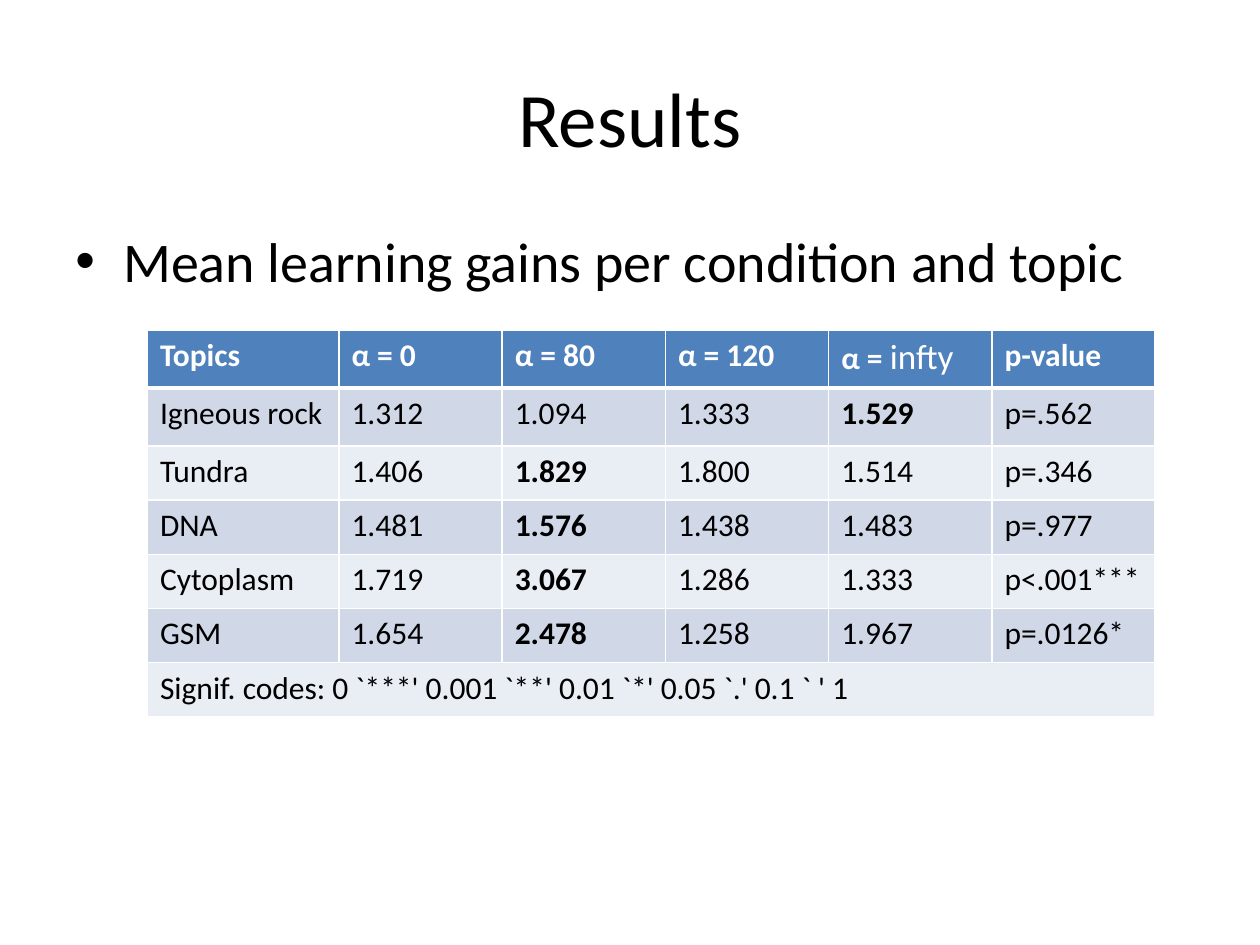
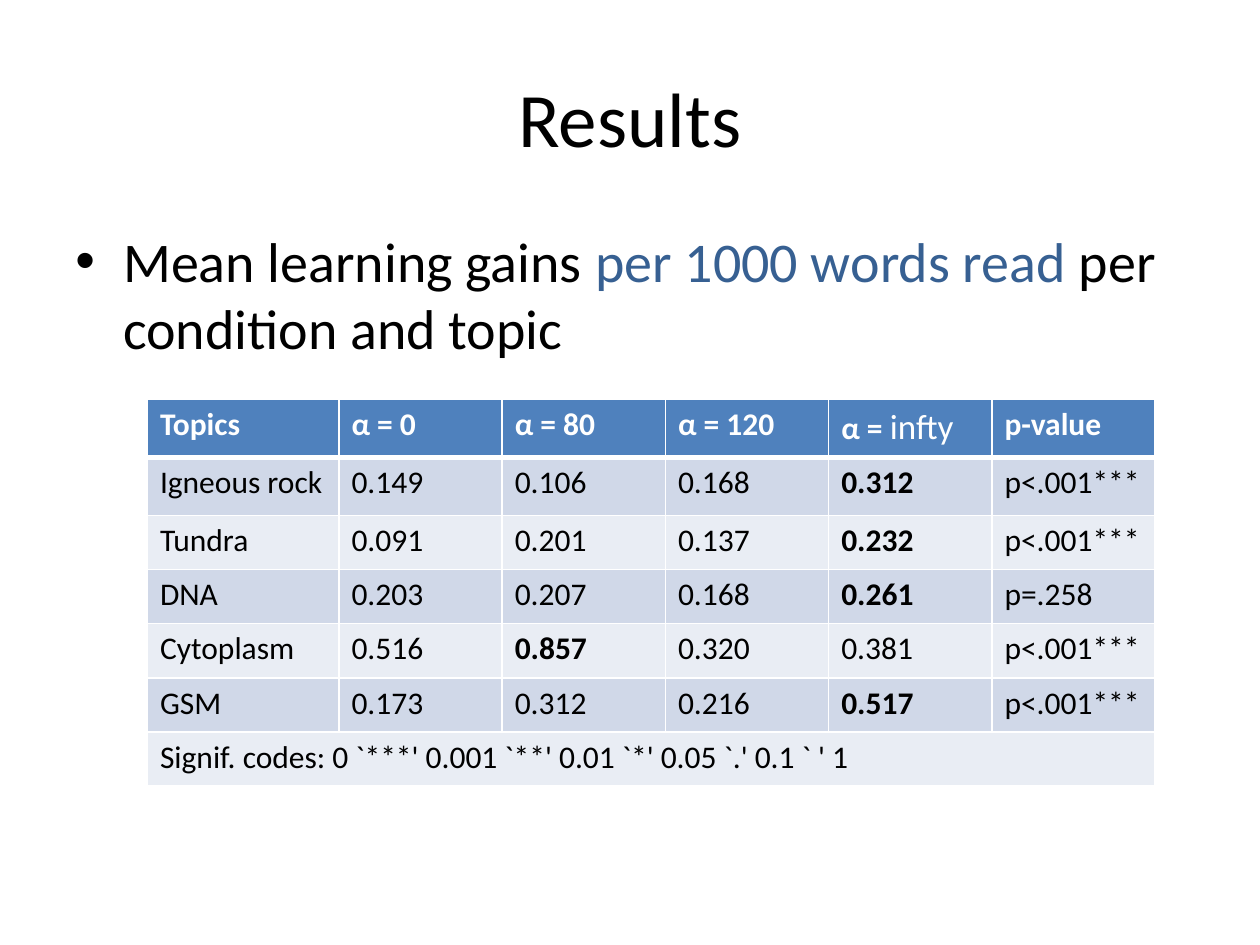
from lxml import etree
from pptx import Presentation
from pptx.dml.color import RGBColor
from pptx.enum import text
from pptx.oxml import ns
from pptx.util import Inches, Pt

FONT = "Calibri"
BLACK = RGBColor(0x00, 0x00, 0x00)
WHITE = RGBColor(0xFF, 0xFF, 0xFF)
HEADER_BLUE = RGBColor(0x4F, 0x81, 0xBD)
ACCENT_BLUE = RGBColor(0x37, 0x60, 0x92)
BANDS = (RGBColor(0xE9, 0xED, 0xF4), RGBColor(0xD0, 0xD8, 0xE8))

TITLE_BOX = (0.5, 0.3, 9, 1.25)
BODY_BOX = (0.5, 1.75, 9, 4.95)
TABLE_LEFT, TABLE_WIDTH, TABLE_HEIGHT = 1.17, 8, 3.05
TOPIC_WIDTH = 1.52
TALL_ROW, ROW = 0.46, 0.43

HEADERS = ["Topics", "α = 0", "α = 80", "α = 120", "α = ", "p-value"]
INFINITY_COL = 4
SIGNIF = "Signif. codes: 0 `***' 0.001 `**' 0.01 `*' 0.05 `.' 0.1 ` ' 1"

GAINS = [
    ("Igneous rock", "1.312", "1.094", "1.333", "1.529", "p=.562"),
    ("Tundra", "1.406", "1.829", "1.800", "1.514", "p=.346"),
    ("DNA", "1.481", "1.576", "1.438", "1.483", "p=.977"),
    ("Cytoplasm", "1.719", "3.067", "1.286", "1.333", "p<.001***"),
    ("GSM", "1.654", "2.478", "1.258", "1.967", "p=.0126*"),
]
GAINS_PER_1000 = [
    ("Igneous rock", "0.149", "0.106", "0.168", "0.312", "p<.001***"),
    ("Tundra", "0.091", "0.201", "0.137", "0.232", "p<.001***"),
    ("DNA", "0.203", "0.207", "0.168", "0.261", "p=.258"),
    ("Cytoplasm", "0.516", "0.857", "0.320", "0.381", "p<.001***"),
    ("GSM", "0.173", "0.312", "0.216", "0.517", "p<.001***"),
]


def style(font, size, color, bold=False):
    font.name = FONT
    font.size = Pt(size)
    font.color.rgb = color
    font.bold = bold


def add_text_frame(slide, box):
    tf = slide.shapes.add_textbox(*map(Inches, box)).text_frame
    tf.word_wrap = True
    return tf


def add_title(slide, box, title):
    tf = add_text_frame(slide, box)
    tf.vertical_anchor = text.MSO_ANCHOR.MIDDLE
    p = tf.paragraphs[0]
    p.alignment = text.PP_ALIGN.CENTER
    p.text = title
    style(p.font, 44, BLACK)


def add_bullet(slide, box, runs):
    p = add_text_frame(slide, box).paragraphs[0]
    p.space_before = Pt(6.4)
    style(p.font, 32, BLACK)
    for words, color in runs:
        r = p.add_run()
        r.text = words
        style(r.font, 32, color)
    pPr = p._p.get_or_add_pPr()
    pPr.set("marL", str(Inches(0.38)))
    pPr.set("indent", str(-Inches(0.38)))
    bu_font = etree.Element(ns.qn("a:buFont"), typeface="Arial")
    bu_char = etree.Element(ns.qn("a:buChar"), char="•")
    pPr.find(ns.qn("a:spcBef")).addnext(bu_font)
    bu_font.addnext(bu_char)


def set_borders(cell, top, bottom):
    tcPr = cell._tc.get_or_add_tcPr()
    for side, width in (("L", 1), ("R", 1), ("T", top), ("B", bottom)):
        ln = etree.SubElement(tcPr, ns.qn("a:ln" + side), w=str(Pt(width)))
        fill = etree.SubElement(ln, ns.qn("a:solidFill"))
        etree.SubElement(fill, ns.qn("a:srgbClr"), val=str(WHITE))


def add_results_table(slide, box, results):
    rows = [HEADERS, *results, [SIGNIF] + [""] * (len(HEADERS) - 1)]
    table = slide.shapes.add_table(len(rows), len(HEADERS), *map(Inches, box)).table
    value_width = (box[2] - TOPIC_WIDTH) / (len(HEADERS) - 1)
    for i, column in enumerate(table.columns):
        column.width = Inches(value_width if i else TOPIC_WIDTH)
    for i, values in enumerate(rows):
        header = i == 0
        table.rows[i].height = Inches(TALL_ROW if i < 2 else ROW)
        best = max(values[1:-1], key=float) if 0 < i <= len(results) else None
        for j, value in enumerate(values):
            cell = table.cell(i, j)
            set_borders(cell, 3 if i == 1 else 1, 3 if header else 1)
            cell.fill.solid()
            cell.fill.fore_color.rgb = HEADER_BLUE if header else BANDS[i % 2]
            p = cell.text_frame.paragraphs[0]
            style(p.font, 18, WHITE if header else BLACK, header or value == best)
            if value:
                r = p.add_run()
                r.text = value
                style(r.font, 18, WHITE if header else BLACK, header or value == best)
    r = table.cell(0, INFINITY_COL).text_frame.paragraphs[0].add_run()
    r.text = "infty"
    style(r.font, 20, WHITE)
    last = len(rows) - 1
    table.cell(last, 0).merge(table.cell(last, len(HEADERS) - 1))


def add_results_slide(prs, table_top, bullet, results):
    slide = prs.slides.add_slide(prs.slide_layouts[6])
    add_title(slide, TITLE_BOX, "Results")
    add_results_table(slide, (TABLE_LEFT, table_top, TABLE_WIDTH, TABLE_HEIGHT), results)
    add_bullet(slide, BODY_BOX, bullet)


prs = Presentation()
prs.slide_width = Inches(10)
prs.slide_height = Inches(7.5)
add_results_slide(
    prs, 2.62, [("Mean learning gains per condition and topic", BLACK)], GAINS)
add_results_slide(
    prs, 3.17,
    [("Mean learning gains ", BLACK), ("per 1000 words read", ACCENT_BLUE),
     (" per condition and topic", BLACK)],
    GAINS_PER_1000)
prs.save("out.pptx")
